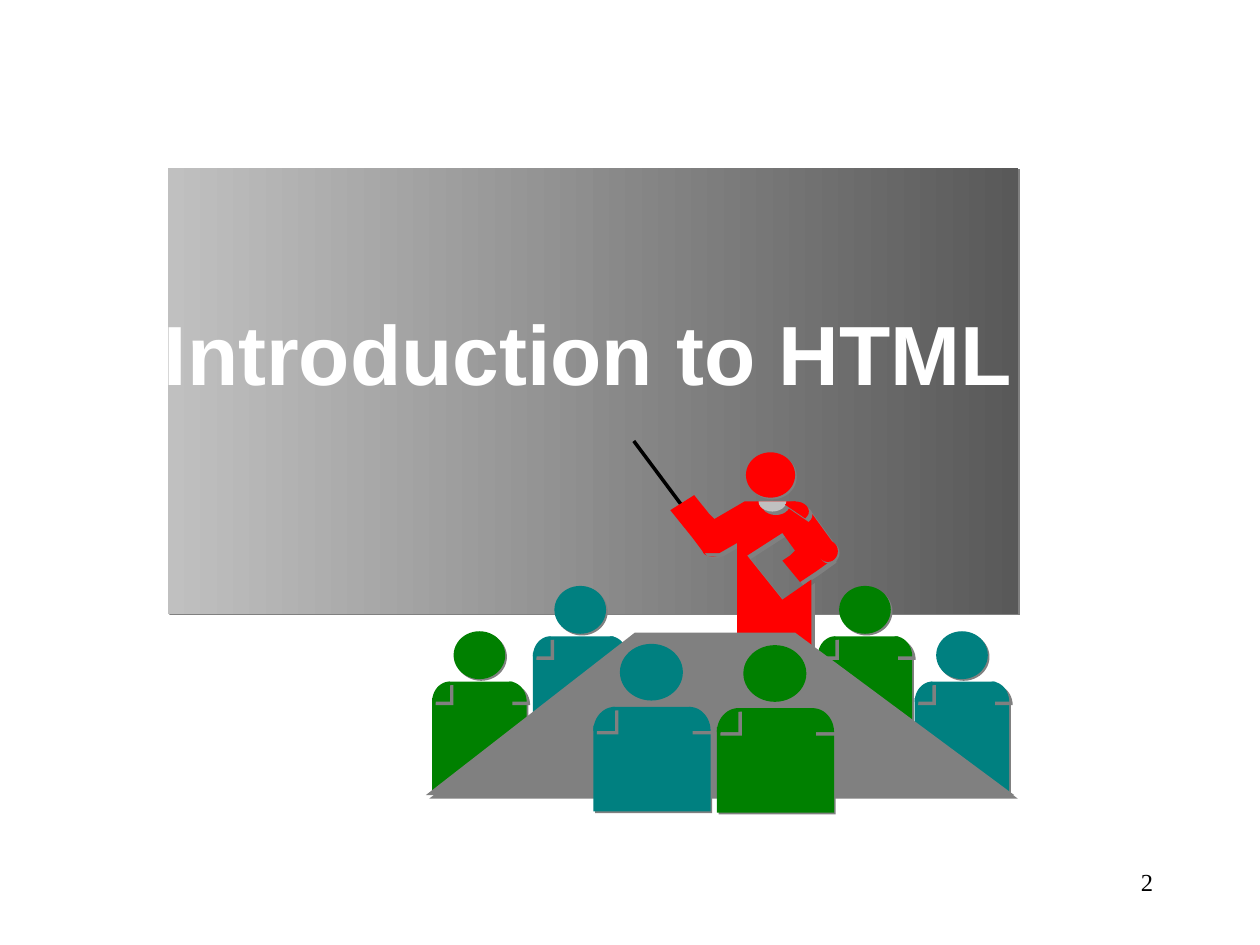
"""Build a title slide with a classroom scene in front of a board."""
import math

import lxml.etree
import pptx
import pptx.dml.color
import pptx.enum.shapes
import pptx.enum.text
import pptx.oxml.ns
import pptx.util

TITLE = ("Introduction to HTML", (117, 183, 700, 192))
NUMBER = ("2", (717, 683, 208, 50))
BOARD = (133, 133, 675, 354)
POINTER = (547, 409, 503, 350)
HAND = (557, 429, 17, 13)
HEAD = (592, 359, 39, 36)
ELBOW = (649, 429, 16, 17)
BODY = [
    (624, 398), (631, 398), (641, 403), (662, 432), (661, 444), (647, 454), (635, 462),
    (621, 445), (627, 441), (631, 437), (621, 423), (593, 441), (621, 476), (644, 460),
    (644, 517), (585, 517), (585, 431), (571, 439), (559, 439), (558, 438), (549, 426),
    (532, 405), (551, 393), (563, 408), (567, 412), (591, 398), (601, 398),
]
COLLAR = ((613, 398), (11, 8), 0, 180)
SHOULDER = ((631, 406), (11, 8), 223, 403)
TABLE = [(338, 631), (504, 502), (631, 502), (805, 631)]

BACK = {"chest": (13, 0, 51, 19), "torso": (0, 13, 75, 77),
        "head": (17, -40, 41, 38), "corner": (14, 16)}
FRONT = {"chest": (15, 0, 62, 23), "torso": (0, 15, 93, 68),
         "head": (21, -50, 50, 45), "corner": (17, 19)}
BACK_ROW = [(726, 541, "teal"), (649, 505, "green"), (423, 505, "teal"), (343, 541, "green")]
FRONT_ROW = [(569, 562, "green"), (471, 561, "teal")]

THEME = {
    "teal": "008080", "green": "008000", "red": "FF0000", "silver": "C0C0C0",
    "grey": "808080", "dark": "595959", "white": "FFFFFF", "black": "000000",
    "title": ("Arial", 48), "number": ("Times New Roman", 14),
    "pointer": 2, "shape_shadow": 1.4, "outline_shadow": 2.8,
}
RECT = pptx.enum.shapes.MSO_SHAPE.RECTANGLE
OVAL = pptx.enum.shapes.MSO_SHAPE.OVAL


def px(length):
    return pptx.util.Emu(round(length * 9144))


def colour(name):
    return pptx.dml.color.RGBColor.from_string(THEME[name])


def place(shape, area):
    shape.left, shape.top, shape.width, shape.height = map(px, area)


def finish(shape, fill, distance):
    shape.fill.solid()
    shape.fill.fore_color.rgb = colour(fill)
    shape.line.fill.background()
    shape.shadow.inherit = False
    qn = pptx.oxml.ns.qn
    effects = shape.element.spPr.find(qn("a:effectLst"))
    shadow = lxml.etree.SubElement(
        effects, qn("a:outerShdw"), dist=str(pptx.util.Pt(distance)),
        dir="2700000", algn="ctr", rotWithShape="0")
    lxml.etree.SubElement(shadow, qn("a:srgbClr"), val=THEME["grey"])
    return shape


def solid(scene, kind, area, fill):
    return finish(scene.add_shape(kind, *map(px, area)), fill, THEME["shape_shadow"])


def outline(scene, points, fill):
    corners = [(px(x), px(y)) for x, y in points]
    builder = scene.build_freeform(*corners[0], scale=1.0)
    builder.add_line_segments(corners[1:], close=True)
    return finish(builder.convert_to_shape(), fill, THEME["outline_shadow"])


def sector(centre, radii, start, end, steps=12):
    angles = [math.radians(start + (end - start) * i / steps) for i in range(steps + 1)]
    arc = [(centre[0] + radii[0] * math.cos(a), centre[1] + radii[1] * math.sin(a))
           for a in angles]
    return arc + [centre]


def add_person(scene, build, x, y, fill):
    def part(kind, name):
        left, top, width, height = build[name]
        solid(scene, kind, (x + left, y + top, width, height), fill)

    part(RECT, "chest")
    part(RECT, "torso")
    across, down = build["corner"]
    right = x + build["torso"][2] - across
    for centre_x, start in ((x + across, 180), (right, 270)):
        outline(scene, sector((centre_x, y + down), (across, down), start, start + 90), fill)
    part(OVAL, "head")


def add_board(scene):
    board = solid(scene, RECT, BOARD, "silver")
    board.fill.gradient()
    board.fill.gradient_angle = 0
    for stop, name in zip(board.fill.gradient_stops, ("silver", "dark")):
        stop.color.rgb = colour(name)


def add_instructor(scene):
    pointer = scene.add_connector(
        pptx.enum.shapes.MSO_CONNECTOR.STRAIGHT, *map(px, POINTER))
    pointer.line.color.rgb = colour("black")
    pointer.line.width = pptx.util.Pt(THEME["pointer"])
    lxml.etree.SubElement(pointer.element.spPr, pptx.oxml.ns.qn("a:effectLst"))
    solid(scene, OVAL, HAND, "red")
    solid(scene, OVAL, HEAD, "red")
    outline(scene, BODY, "red")
    solid(scene, OVAL, ELBOW, "red")
    outline(scene, sector(*COLLAR), "silver")
    outline(scene, sector(*SHOULDER), "red")


def write(box, text, style, ink, align, bold):
    box.text_frame.text = text
    box.text_frame.word_wrap = True
    box.text_frame.auto_size = pptx.enum.text.MSO_AUTO_SIZE.NONE
    para = box.text_frame.paragraphs[0]
    para.alignment = align
    font = para.runs[0].font
    font.name, size = THEME[style]
    font.size = pptx.util.Pt(size)
    font.bold = bold
    font.color.rgb = colour(ink)


def main():
    deck = pptx.Presentation()
    deck.slide_width, deck.slide_height = px(1000), px(750)
    page = deck.slides.add_slide(deck.slide_layouts[5])
    align = pptx.enum.text.PP_ALIGN

    text, area = NUMBER
    number = page.shapes.add_textbox(*map(px, area))
    write(number, text, "number", "black", align.RIGHT, False)

    scene = page.shapes.add_group_shape().shapes
    add_board(scene)
    add_instructor(scene)
    for x, y, fill in BACK_ROW:
        add_person(scene, BACK, x, y, fill)
    outline(scene, TABLE, "grey")
    for x, y, fill in FRONT_ROW:
        add_person(scene, FRONT, x, y, fill)

    text, area = TITLE
    title = page.shapes.title
    place(title, area)
    write(title, text, "title", "white", align.CENTER, True)
    title.text_frame.vertical_anchor = pptx.enum.text.MSO_ANCHOR.MIDDLE
    page.shapes.element.append(title.element)

    deck.save("out.pptx")


if __name__ == "__main__":
    main()
